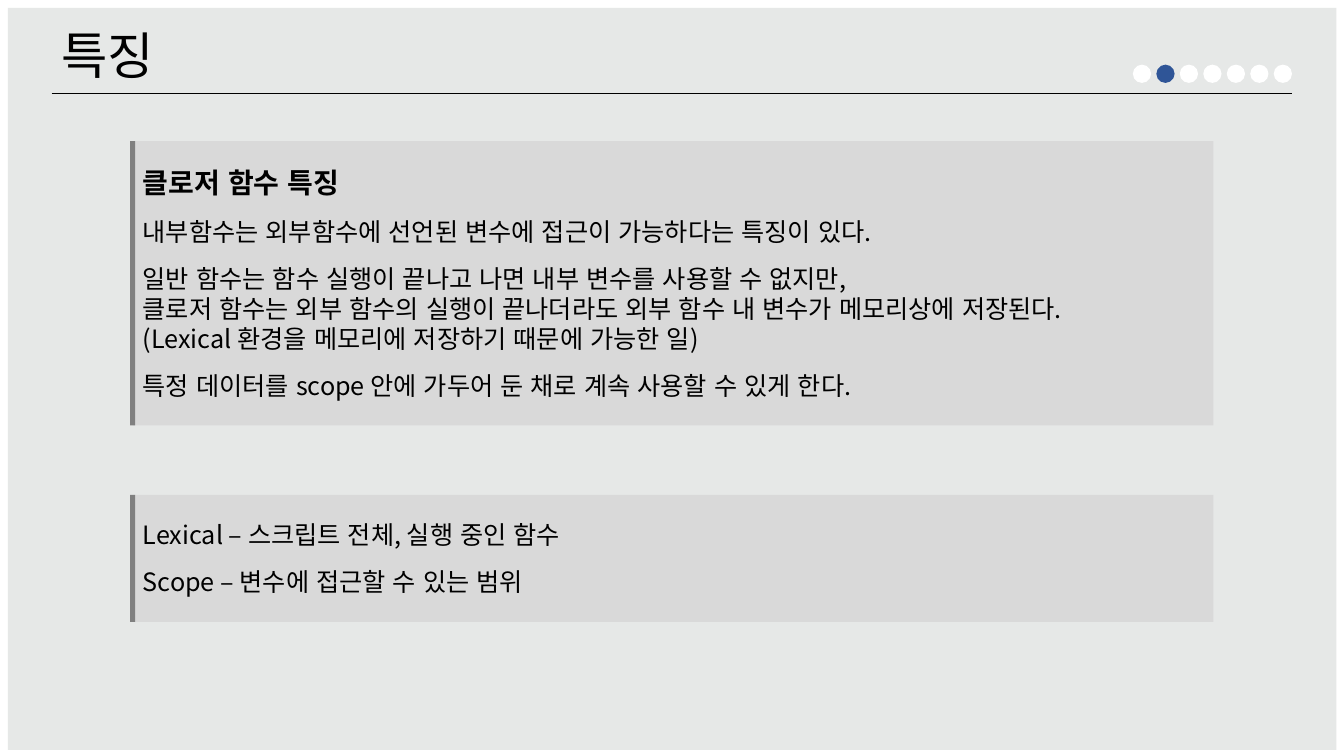
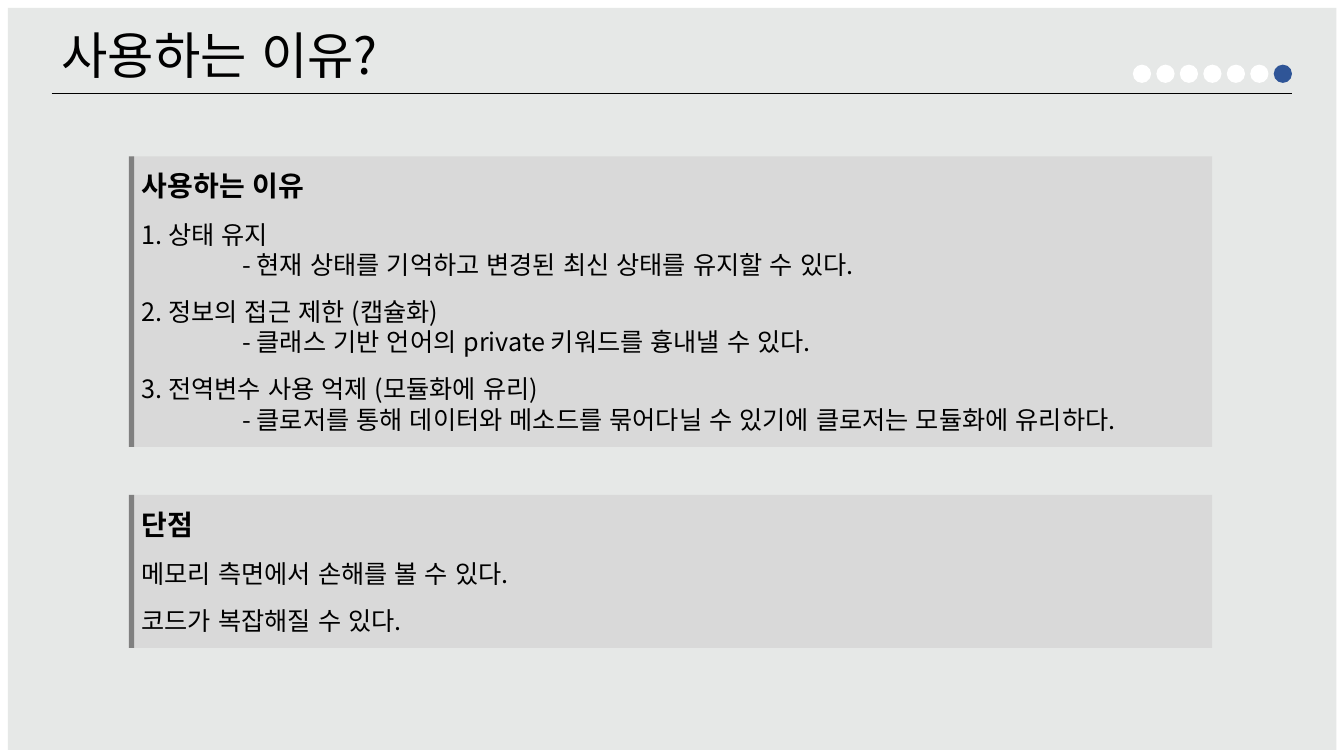
import pptx
import pptx.dml.color
import pptx.enum.lang
import pptx.enum.shapes
import pptx.enum.text
import pptx.oxml
import pptx.oxml.ns
import pptx.util
from pptx.util import Cm

SHAPE = pptx.enum.shapes.MSO_SHAPE
FONT = "Noto Sans CJK KR"
COLORS = {
    "page": "E6E8E7",
    "panel": "D9D9D9",
    "bar": "808080",
    "text": "000000",
    "dot": "FFFFFF",
    "current": "2F5597",
}
SLIDE_WIDTH, SLIDE_HEIGHT = 33.87, 19.05
PAGE_MARGIN, PAGE_WIDTH, PAGE_HEIGHT = 0.2, 33.48, 18.7
RULE_LEFT, RULE_RIGHT, RULE_TOP = 1.3, 32.56, 2.36
PANEL_WIDTH = 27.23
BAR_WIDTH, BAR_OFFSET = 0.13, 0.07
SECTION_COUNT = 7
DOT_SIZE, DOT_LEFT, DOT_TOP = 0.46, 28.55, 1.63
TITLE_SIZE, HEADING_SIZE, BODY_SIZE = 36, 20, 18
BLOCK_GAP = 12
DETAIL_INDENT = 2.54


def rgb(name):
    return pptx.dml.color.RGBColor.from_string(COLORS[name])


class Deck:
    """Holds the shared style and the slide being built; lengths are in cm."""

    def __init__(self):
        self.presentation = pptx.Presentation()
        self.presentation.slide_width = Cm(SLIDE_WIDTH)
        self.presentation.slide_height = Cm(SLIDE_HEIGHT)
        self.slide = None

    def new_slide(self, title, title_width, section):
        blank = self.presentation.slide_layouts[6]
        self.slide = self.presentation.slides.add_slide(blank)
        self.block(self.slide.shapes, SHAPE.RECTANGLE, PAGE_MARGIN, PAGE_MARGIN,
                   PAGE_WIDTH, PAGE_HEIGHT, "page")
        self.title(title, title_width)
        self.rule()
        self.progress_dots(section)

    def block(self, shapes, preset, left, top, width, height, color):
        shape = shapes.add_shape(preset, Cm(left), Cm(top), Cm(width), Cm(height))
        shape.shadow.inherit = False
        shape.fill.solid()
        shape.fill.fore_color.rgb = rgb(color)
        shape.line.fill.background()
        return shape

    def run(self, paragraph, text, size, bold=False):
        run = paragraph.add_run()
        run.text = text
        run.font.size = pptx.util.Pt(size)
        run.font.bold = bold
        run.font.color.rgb = rgb("text")
        run.font.name = FONT
        run.font.language_id = pptx.enum.lang.MSO_LANGUAGE_ID.KOREAN

    def title(self, text, width):
        box = self.slide.shapes.add_textbox(Cm(RULE_LEFT), Cm(0.48), Cm(width), Cm(1.8))
        frame = box.text_frame
        frame.word_wrap = False
        frame.auto_size = pptx.enum.text.MSO_AUTO_SIZE.SHAPE_TO_FIT_TEXT
        self.run(frame.paragraphs[0], text, TITLE_SIZE)

    def rule(self):
        rule = self.slide.shapes.add_connector(
            pptx.enum.shapes.MSO_CONNECTOR.STRAIGHT,
            Cm(RULE_LEFT), Cm(RULE_TOP), Cm(RULE_RIGHT), Cm(RULE_TOP))
        rule.line.color.rgb = rgb("text")
        rule.line.width = pptx.util.Pt(0.5)
        rule._element.spPr.append(
            pptx.oxml.parse_xml(f'<a:effectLst {pptx.oxml.ns.nsdecls("a")}/>'))

    def progress_dots(self, section):
        """Draw one dot per section, the last one ending where the rule ends."""
        dots = self.slide.shapes.add_group_shape().shapes
        pitch = (RULE_RIGHT - DOT_SIZE - DOT_LEFT) / (SECTION_COUNT - 1)
        for index in range(SECTION_COUNT):
            color = "current" if index + 1 == section else "dot"
            self.block(dots, SHAPE.OVAL, DOT_LEFT + index * pitch, DOT_TOP,
                       DOT_SIZE, DOT_SIZE, color)

    def panel(self, left, top, height, blocks, heading=None):
        """Draw a barred panel; each block is a list of lines kept together."""
        parts = self.slide.shapes.add_group_shape().shapes
        panel = self.block(parts, SHAPE.RECTANGLE, left, top, PANEL_WIDTH, height, "panel")
        self.block(parts, SHAPE.RECTANGLE, left - BAR_OFFSET, top, BAR_WIDTH, height, "bar")
        frame = panel.text_frame
        frame.word_wrap = True
        frame.vertical_anchor = pptx.enum.text.MSO_ANCHOR.MIDDLE

        lines = [(heading, HEADING_SIZE, True, 0)] if heading else []
        for block in blocks:
            for index, text in enumerate(block):
                gap = BLOCK_GAP if lines and index == 0 else 0
                lines.append((text, BODY_SIZE, False, gap))
        for index, (text, size, bold, gap) in enumerate(lines):
            paragraph = frame.add_paragraph() if index else frame.paragraphs[0]
            paragraph.alignment = pptx.enum.text.PP_ALIGN.LEFT
            paragraph.space_before = pptx.util.Pt(gap)
            if text.startswith("- "):
                paragraph._p.get_or_add_pPr().set("marL", str(Cm(DETAIL_INDENT)))
            self.run(paragraph, text, size, bold)


def main():
    deck = Deck()

    deck.new_slide("특징", 3.07, section=2)
    deck.panel(3.35, 3.56, 7.16, [
        ["내부함수는 외부함수에 선언된 변수에 접근이 가능하다는 특징이 있다."],
        ["일반 함수는 함수 실행이 끝나고 나면 내부 변수를 사용할 수 없지만,",
         "클로저 함수는 외부 함수의 실행이 끝나더라도 외부 함수 내 변수가 메모리상에 저장된다.",
         "(Lexical 환경을 메모리에 저장하기 때문에 가능한 일)"],
        ["특정 데이터를 scope 안에 가두어 둔 채로 계속 사용할 수 있게 한다."],
    ], heading="클로저 함수 특징")
    deck.panel(3.35, 12.47, 3.2, [
        ["Lexical – 스크립트 전체, 실행 중인 함수"],
        ["Scope – 변수에 접근할 수 있는 범위"],
    ])

    deck.new_slide("사용하는 이유?", 9.25, section=7)
    deck.panel(3.32, 3.94, 7.32, [
        ["1. 상태 유지",
         "- 현재 상태를 기억하고 변경된 최신 상태를 유지할 수 있다."],
        ["2. 정보의 접근 제한 (캡슐화)",
         "- 클래스 기반 언어의 private 키워드를 흉내낼 수 있다."],
        ["3. 전역변수 사용 억제 (모듈화에 유리)",
         "- 클로저를 통해 데이터와 메소드를 묶어다닐 수 있기에 클로저는 모듈화에 유리하다."],
    ], heading="사용하는 이유")
    deck.panel(3.32, 12.47, 3.86, [
        ["메모리 측면에서 손해를 볼 수 있다."],
        ["코드가 복잡해질 수 있다."],
    ], heading="단점")

    deck.presentation.save("out.pptx")


if __name__ == "__main__":
    main()
